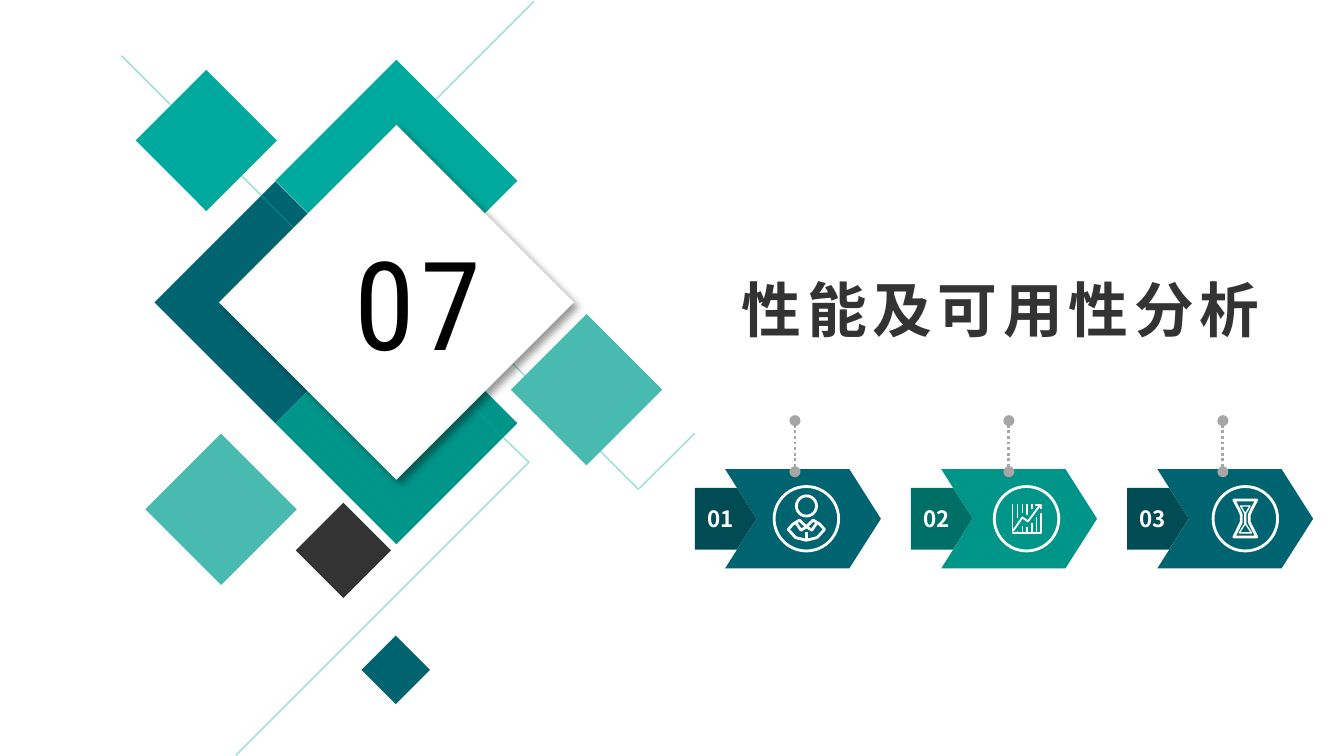
from collections import namedtuple

from lxml import etree
from pptx import Presentation
from pptx.dml.color import RGBColor
from pptx.enum.dml import MSO_LINE
from pptx.enum.shapes import MSO_CONNECTOR, MSO_SHAPE
from pptx.enum.text import MSO_ANCHOR, PP_ALIGN
from pptx.oxml.ns import qn
from pptx.util import Inches, Pt

LEFT, CENTER = PP_ALIGN.LEFT, PP_ALIGN.CENTER
TOP, MIDDLE = MSO_ANCHOR.TOP, MSO_ANCHOR.MIDDLE
OVAL, ARROW, TAG = MSO_SHAPE.OVAL, MSO_SHAPE.NOTCHED_RIGHT_ARROW, MSO_SHAPE.PENTAGON
STRAIGHT, DOTTED = MSO_CONNECTOR.STRAIGHT, MSO_LINE.ROUND_DOT

PAGE_WIDTH, PAGE_HEIGHT = Inches(10), Inches(5.625)
CELL = PAGE_WIDTH / 100  # the page is a grid of 100 columns of square cells
CJK, DIGITS = "Noto Sans CJK SC", "Roboto Condensed"
WHITE, BLACK, CHARCOAL, GREY = "FFFFFF", "000000", "333333", "A6A6A6"
NAVY, TEAL, GREEN, MINT, PALE = "006470", "00A99D", "009589", "49BAAF", "99DDD8"

Box = namedtuple("Box", "left top width height")

# Diamonds: centre column, centre row, half diagonal, colour
BACK_DIAMONDS = [(20.5, 22.5, 9, NAVY), (29.5, 13.45, 9, TEAL), (15.35, 10.45, 5.25, TEAL),
                 (29.5, 31.5, 9, GREEN), (25.55, 40.95, 3.55, CHARCOAL)]
FRONT_DIAMONDS = [(43.65, 29, 5.63, MINT), (16.45, 37.9, 5.63, MINT), (29.45, 49.85, 2.55, NAVY)]
# Thin lines change colour where they cross a diamond
THIN_LINES = [
    (PALE, [(39.75, 0.1), (32.45, 7.4)]),
    (TEAL, [(32.45, 7.4), (25.55, 14.4), (31.55, 20.45)]),
    (PALE, [(31.55, 20.45), (47.5, 36.4), (51.7, 32.25)]),
    (PALE, [(9.05, 4.15), (12.75, 7.85)]),
    (TEAL, [(12.75, 7.85), (18, 13.1)]),
    (PALE, [(18, 13.1), (19.45, 14.55)]),
    ("008082", [(19.45, 14.55), (28.45, 23.55)]),
    ("009D91", [(28.45, 23.55), (37.45, 32.55)]),
    (PALE, [(37.45, 32.55), (39.35, 34.4), (17.55, 56.2)]),
]


def color(hex_value):
    return RGBColor.from_string(hex_value)


def place(box, column, row):
    return round((box.left + column) * CELL), round((box.top + row) * CELL)


def paint(shape, fill=None, line=None, weight=0.75):
    shape.shadow.inherit = False
    if fill:
        shape.fill.solid()
        shape.fill.fore_color.rgb = color(fill)
    else:
        shape.fill.background()
    if line:
        shape.line.color.rgb = color(line)
        shape.line.width = Pt(weight)
    else:
        shape.line.fill.background()


def write(shape, text, font, size, ink, bold=False, align=LEFT, anchor=TOP, wrap=True, spacing=0):
    frame = shape.text_frame
    frame.word_wrap = wrap
    frame.vertical_anchor = anchor
    para = frame.paragraphs[0]
    para.alignment = align
    span = para.add_run()
    span.text = text
    span.font.name, span.font.size, span.font.bold = font, Pt(size), bold
    span.font.color.rgb = color(ink)
    properties = span.font._element
    properties.set("spc", str(spacing * 100))
    etree.SubElement(properties, qn("a:ea"), typeface=font)


def add_preset(page, kind, box, column, row, width, height, **look):
    shape = page.shapes.add_shape(kind, *place(box, column, row),
                                  round(width * CELL), round(height * CELL))
    paint(shape, **look)
    return shape


def add_outline(page, box, points, close=False, **look):
    start, *rest = [place(box, *point) for point in points]
    builder = page.shapes.build_freeform(*start)
    builder.add_line_segments(rest, close=close)
    shape = builder.convert_to_shape()
    paint(shape, **look)
    return shape


def add_diamond(page, box, column, row, half, fill):
    corners = [(column + half, row), (column, row + half), (column - half, row), (column, row - half)]
    return add_outline(page, box, corners, close=True, fill=fill)


def add_soft_shadow(shape):
    effects = shape._element.spPr.find(qn("a:effectLst"))
    shadow = etree.SubElement(effects, qn("a:outerShdw"), blurRad=str(Pt(4)), dist=str(Pt(3)),
                              dir=str(45 * 60000), algn="tl", rotWithShape="0")
    tint = etree.SubElement(shadow, qn("a:srgbClr"), val=BLACK)
    etree.SubElement(tint, qn("a:alpha"), val="40000")


def draw_diamonds(page, box, number):
    for diamond in BACK_DIAMONDS:
        add_diamond(page, box, *diamond)
    for ink, points in THIN_LINES:
        add_outline(page, box, points, line=ink)
    add_soft_shadow(add_diamond(page, box, 29.5, 22.5, 13.2, WHITE))
    for diamond in FRONT_DIAMONDS:
        add_diamond(page, box, *diamond)
    label = page.shapes.add_textbox(*place(box, 25.4, 16.4), round(11.8 * CELL), round(12.1 * CELL))
    write(label, number, DIGITS, 66, BLACK, spacing=3)


def draw_title(page, box, text):
    title = page.shapes.title
    title.left, title.top = place(box, 0, 0)
    title.width, title.height = round(box.width * CELL), round(box.height * CELL)
    write(title, text, CJK, 32, CHARCOAL, bold=True, spacing=3)


def draw_person(page, box):
    add_preset(page, OVAL, box, -0.75, -1.7, 1.5, 1.5, line=WHITE, weight=1.5)
    shoulders = [(-1.35, 0.8), (-1, 0.4), (-0.5, 0.1), (0, 0.6), (0.5, 0.1), (1, 0.4),
                 (1.35, 0.8), (0.8, 1.4), (0, 1.6), (-0.8, 1.4)]
    collar = [(-0.75, 0.35), (-0.4, 0.85), (0, 0.6), (0.4, 0.85), (0.75, 0.35)]
    add_outline(page, box, shoulders, close=True, line=WHITE, weight=1.5)
    for points in (collar, [(0, 1), (0, 1.6)]):
        add_outline(page, box, points, line=WHITE, weight=1.5)


def draw_growth(page, box):
    axes = [(-1.05, -1.1), (-1.05, 1.05), (1.05, 1.05), (1.05, -0.45)]
    trend = [(-1, 0.9), (-0.3, -0.1), (0.1, 0.2), (1, -1)]
    tip = [(0.6, -1.05), (1.05, -1.05), (1.05, -0.7)]
    for points in (axes, trend, tip):
        add_outline(page, box, points, line=WHITE, weight=1)
    hanging, standing = [-0.05, -0.45, -0.3, -0.7], [0.9, 0.55, 0.65, 0.35, -0.1]
    for base, ends in ((-1.1, hanging), (1.05, standing)):
        for index, end in enumerate(ends):
            column = -0.65 + 0.35 * index
            add_outline(page, box, [(column, base), (column, end)], line=WHITE, weight=0.75)


def draw_hourglass(page, box):
    glass = [(0.85, -1.4), (0.45, -0.65), (0.3, -0.3), (0.3, 0.25), (0.45, 0.55), (0.85, 1.35)]
    sand = [(0.35, -0.95), (0.03, -0.4), (0.03, 0.4), (0.45, 1.05)]
    for side, weight in ((glass, 1.5), (sand, 0.75)):
        mirrored = [(-column, row) for column, row in reversed(side)]
        add_outline(page, box, side + mirrored, close=True, line=WHITE, weight=weight)


def draw_pin(page, box, column):
    pin = page.shapes.add_connector(STRAIGHT, *place(box, column, 3.8), *place(box, column, 0))
    pin.line.color.rgb = color(GREY)
    pin.line.width = Pt(1.5)
    pin.line.dash_style = DOTTED
    outline = pin.line._get_or_add_ln()
    for end in ("a:headEnd", "a:tailEnd"):
        etree.SubElement(outline, qn(end), type="oval")
    etree.SubElement(pin._element.spPr, qn("a:effectLst"))


def draw_step(page, box, number, fill, tag_fill, icon_column, draw_icon):
    arrow = add_preset(page, ARROW, box, 2.25, 3.6, 11.6, 7.4, fill=fill)
    arrow.adjustments[0], arrow.adjustments[1] = 1, 0.318
    tag = add_preset(page, TAG, box, 0, 5, 4.6, 4.6, fill=tag_fill)
    tag.adjustments[0] = 0.319
    write(tag, number, CJK, 12, WHITE, bold=True, align=CENTER, anchor=MIDDLE, wrap=False)
    add_preset(page, OVAL, box, icon_column - 2.4, 4.9, 4.8, 4.8, fill=fill, line=WHITE, weight=1.5)
    draw_icon(page, Box(box.left + icon_column, box.top + 7.3, 0, 0))


def draw_steps(page, box):
    steps = [("01", NAVY, "004B54", 8.3, draw_person),
             ("02", GREEN, "007067", 8.6, draw_growth),
             ("03", NAVY, "004B54", 8.8, draw_hourglass)]
    pitch = box.width / len(steps)
    for index, step in enumerate(steps):
        draw_step(page, Box(box.left + pitch * index, box.top, pitch, box.height), *step)
    for index in range(len(steps)):
        draw_pin(page, box, 7.45 + 15.92 * index)


def main():
    deck = Presentation()
    deck.slide_width, deck.slide_height = PAGE_WIDTH, PAGE_HEIGHT
    page = deck.slides.add_slide(deck.slide_layouts[5])
    draw_title(page, Box(54.2, 19.8, 50.8, 6.4), "性能及可用性分析")
    draw_diamonds(page, Box(0, 0, 52, 56.25), "07")
    draw_steps(page, Box(51.7, 31.3, 48.24, 11))
    deck.save("out.pptx")


if __name__ == "__main__":
    main()
